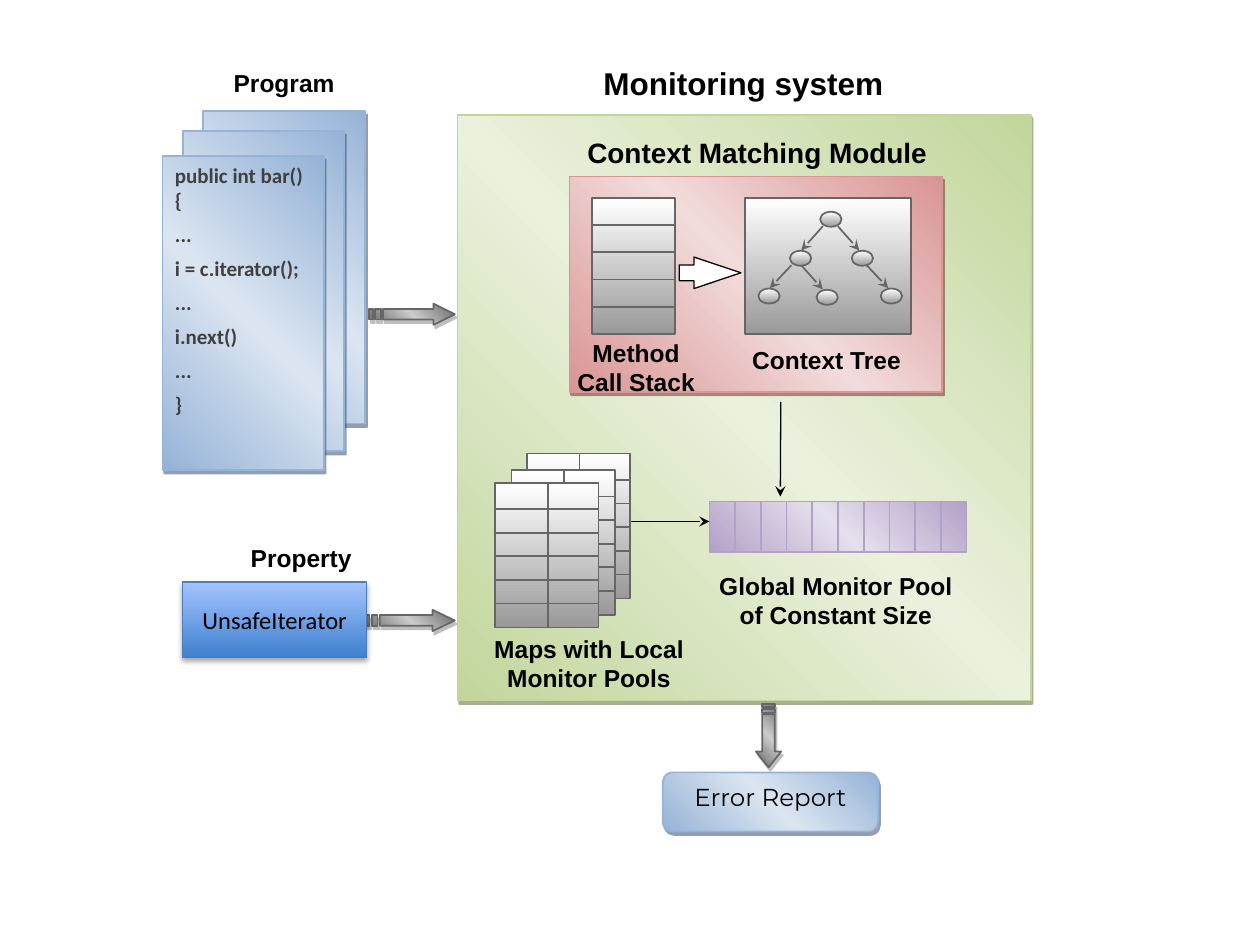
from pptx import Presentation
from pptx.dml.color import RGBColor
from pptx.enum.shapes import MSO_CONNECTOR, MSO_SHAPE
from pptx.enum.text import MSO_ANCHOR, MSO_AUTO_SIZE, PP_ALIGN
from pptx.oxml.ns import qn
from pptx.oxml.xmlchemy import OxmlElement
from pptx.util import Pt

RECT, OVAL = MSO_SHAPE.RECTANGLE, MSO_SHAPE.OVAL
LEFT, CENTER = PP_ALIGN.LEFT, PP_ALIGN.CENTER
TOP, MIDDLE = MSO_ANCHOR.TOP, MSO_ANCHOR.MIDDLE

BLACK, WHITE, CODE_GRAY, GRAY, SILVER, MID_GRAY, SHADE_GRAY = map(
    RGBColor.from_string,
    ("000000", "FFFFFF", "404040", "666666", "CCCCCC", "999999", "7F7F7F"))
GREEN, PALE_GREEN, DEEP_GREEN = map(RGBColor.from_string, ("C2D69B", "EAF1DD", "4E6128"))
BLUE, PALE_BLUE, DEEP_BLUE = map(RGBColor.from_string, ("95B3D7", "DBE5F1", "243F60"))
PINK, PALE_PINK, DEEP_RED = map(RGBColor.from_string, ("D99594", "F2DBDB", "622423"))
PURPLE, PALE_PURPLE = map(RGBColor.from_string, ("B2A1C7", "E5DFEC"))
STRONG_BLUE, SKY_BLUE, EDGE_BLUE = map(RGBColor.from_string, ("3F80CE", "A4C4FF", "4B7EBC"))

HARD = (50, 0, 2.2, 63)  # shadow opacity %, blur, distance, direction
SOFT = (35, 3.1, 1.8, 90)
# Evenly spaced gradient colours, counter-clockwise angle, line, shadow
GREEN_LOOK = ((GREEN, PALE_GREEN, GREEN), 45, GREEN, (DEEP_GREEN, *HARD))
BLUE_LOOK = ((BLUE, PALE_BLUE, BLUE), 45, BLUE, (DEEP_BLUE, *HARD))
PINK_LOOK = ((PINK, PALE_PINK, PINK), 45, PINK, (DEEP_RED, *HARD))
ARROW_LOOK = ((GRAY, SILVER, GRAY), 45, GRAY, (SHADE_GRAY, *HARD))
PURPLE_LOOK = ((PURPLE, PALE_PURPLE, PURPLE), 45, PURPLE, None)
SILVER_LOOK = ((WHITE, MID_GRAY), 270, GRAY, None)
PROPERTY_LOOK = ((STRONG_BLUE, SKY_BLUE), 90, EDGE_BLUE, (BLACK, *SOFT))

# All places are left, top, width, height in points
TITLE = ("Monitoring system", (283, 33.1, 283.7, 37.4))
SYSTEM = (261.4, 65.5, 327.6, 334.8)
PAGES = [(115.9, 63.4, 92.9, 178.6), (104.4, 74.9, 92.2, 182.9),
         (92.9, 89.3, 92.2, 179.3)]
CODE = ["public int bar() {", "...", "i = c.iterator();", "...", "i.next()", "...", "}"]
MATCHING_MODULE = (325.4, 100.8, 213.1, 123.1)
CALL_STACK, STACK_ROWS = (338.4, 113, 47.5, 77.8), 5
TREE_PANEL = (425.5, 113, 95, 77.8)
NODE_WIDTH, NODE_HEIGHT = 12.2, 8.6
NODES = {"root": (474.8, 125.3), "left": (457.5, 147.6), "right": (492.8, 147.6),
         "left leaf": (439.5, 169.2), "middle leaf": (472.7, 169.9),
         "right leaf": (509.4, 169.2)}
# parent, child, sideways shift of the start and of the end
EDGES = [("root", "left", -4.6, 0.4), ("root", "right", 4, -1.8),
         ("left", "left leaf", -5.3, 0.4), ("left", "middle leaf", 0.4, -2.5),
         ("right", "right leaf", 2.5, -1.8)]
POOL, POOL_CELLS = (405.4, 286.6, 146.9, 28.8), 10
MAPS = [(301, 259.2), (292.3, 268.6), (283, 275.8)]
MAP_WIDTH, MAP_HEIGHT, MAP_HEADER, MAP_ROW = 59, 82.8, 15.1, 13.5
STACK_TO_TREE = (388.1, 146.9, 35.3, 18)
FLOW_LINES = [(446.2, 229.7, 445.9, 283.7), (360.7, 298, 405.4, 298)]
STRIPED_ARROWS = [(211, 173.5, 48.9, 12.2), (208.8, 348.5, 51.1, 12.2),
                  (432, 402.5, 14.4, 36)]
REPORT = ("Error Report", (378.7, 441.4, 123.1, 33.8))
PROPERTY = ("UnsafeIterator", (104.4, 332.6, 105.1, 43.2))
LABELS = [("Method Call Stack", 14, (321.8, 189.4, 83.5, 20.2)),
          ("Context Tree", 14, (413.3, 193.7, 118.1, 17.3)),
          ("Context Matching Module", 16, (313.2, 74.2, 239, 31)),
          ("Global Monitor Pool of Constant Size", 14, (403.2, 322.6, 149, 35.3)),
          ("Program", 14, (103.7, 35.3, 117.4, 41)),
          ("Maps with Local Monitor Pools", 14, (259.9, 358.6, 153.4, 41.8)),
          ("Property", 14, (133.2, 306.7, 77.8, 23.8))]


def write(shape, lines, font, size, color=BLACK, bold=False, align=CENTER,
          anchor=TOP, after=5, side=7.2):
    frame = shape.text_frame
    frame.word_wrap, frame.auto_size = True, MSO_AUTO_SIZE.NONE
    frame.vertical_anchor = anchor
    frame.margin_left = frame.margin_right = Pt(side)
    frame.margin_top = frame.margin_bottom = Pt(3.6)
    for index, line in enumerate(lines):
        para = frame.add_paragraph() if index else frame.paragraphs[0]
        para.alignment = align
        para.space_before, para.space_after = Pt(0), Pt(after)
        span = para.add_run()
        span.text = line
        span.font.name, span.font.size, span.font.bold = font, Pt(size), bold
        span.font.color.rgb = color


def add_element(parent, tag, **attributes):
    element = OxmlElement(tag)
    for name, value in attributes.items():
        element.set(name, str(value))
    parent.append(element)
    return element


def style(shape, look, width=1):
    colors, angle, line, shadow = look
    shape.line.color.rgb, shape.line.width = line, Pt(width)
    shape.shadow.inherit = False
    shape.fill.gradient()
    shape.fill.gradient_angle = angle
    properties = shape._element.spPr
    stops = properties.find(qn("a:gradFill")).find(qn("a:gsLst"))
    for stop in list(stops):
        stops.remove(stop)
    for index, color in enumerate(colors):
        stop = add_element(stops, "a:gs", pos=100000 * index // (len(colors) - 1))
        add_element(stop, "a:srgbClr", val=color)
    if shadow:
        color, opacity, blur, distance, direction = shadow
        outer = add_element(properties.find(qn("a:effectLst")), "a:outerShdw",
                            blurRad=int(Pt(blur)), dist=int(Pt(distance)),
                            dir=direction * 60000)
        tint = add_element(outer, "a:srgbClr", val=color)
        add_element(tint, "a:alpha", val=opacity * 1000)
    return shape


def add_box(kind, place, look, width=1):
    return style(page.shapes.add_shape(kind, *map(Pt, place)), look, width)


def add_line(x1, y1, x2, y2, color, width=1, arrow=False):
    line = page.shapes.add_connector(MSO_CONNECTOR.STRAIGHT, *map(Pt, (x1, y1, x2, y2)))
    line.line.color.rgb, line.line.width = color, Pt(width)
    properties = line._element.spPr
    if arrow:
        add_element(properties.find(qn("a:ln")), "a:tailEnd", type="stealth")
    add_element(properties, "a:effectLst")


def add_grid(place, look, columns=(), rows=()):
    """Draw a box divided at the given offsets from its left and top."""
    left, top, width, height = place
    add_box(RECT, place, look)
    for x in columns:
        add_line(left + x, top, left + x, top + height, look[2])
    for y in rows:
        add_line(left, top + y, left + width, top + y, look[2])


def add_striped_arrow(left, top, width, height):
    """Draw an arrow with two tail stripes along the longer side of its place."""
    bars = [[(a, 0.25), (b, 0.25), (b, 0.75), (a, 0.75)]
            for a, b in ((0, 0.045), (0.07, 0.135))]
    head = [(0.75, 0), (0.75, 0.25), (0.16, 0.25), (0.16, 0.75),
            (0.75, 0.75), (0.75, 1), (1, 0.5)]
    builder = None
    for outline in (head, *bars):
        points = [(Pt(left + width * x), Pt(top + height * y))
                  for x, y in (point if width > height else point[::-1] for point in outline)]
        if builder is None:
            builder = page.shapes.build_freeform(*points[0])
        else:
            builder.move_to(*points[0])
        builder.add_line_segments(points[1:], close=True)
    style(builder.convert_to_shape(), ARROW_LOOK)


deck = Presentation()
deck.slide_width, deck.slide_height = Pt(720), Pt(540)
page = deck.slides.add_slide(deck.slide_layouts[5])
title = page.shapes.title
title.left, title.top, title.width, title.height = map(Pt, TITLE[1])
write(title, [TITLE[0]], "Arial", 18, bold=True)

add_box(RECT, SYSTEM, GREEN_LOOK)
sheets = [add_box(RECT, place, BLUE_LOOK) for place in PAGES]
write(sheets[-1], CODE, "Calibri", 12, CODE_GRAY, True, LEFT)
add_box(RECT, MATCHING_MODULE, PINK_LOOK)
add_grid(CALL_STACK, SILVER_LOOK,
         rows=[CALL_STACK[3] * i / STACK_ROWS for i in range(1, STACK_ROWS)])
add_box(RECT, TREE_PANEL, SILVER_LOOK)
for x, y in NODES.values():
    add_box(OVAL, (x - NODE_WIDTH / 2, y - NODE_HEIGHT / 2, NODE_WIDTH, NODE_HEIGHT), SILVER_LOOK)
for parent, child, start, end in EDGES:
    (x1, y1), (x2, y2) = NODES[parent], NODES[child]
    add_line(x1 + start, y1 + 4, x2 + end, y2 - 4.5, GRAY, arrow=True)
add_grid(POOL, PURPLE_LOOK, [POOL[2] * i / POOL_CELLS for i in range(1, POOL_CELLS)])
for left, top in MAPS:
    add_grid((left, top, MAP_WIDTH, MAP_HEIGHT), SILVER_LOOK, [MAP_WIDTH * 0.51],
             [MAP_HEADER + MAP_ROW * i for i in range(5)])

block_arrow = page.shapes.add_shape(MSO_SHAPE.RIGHT_ARROW, *map(Pt, STACK_TO_TREE))
block_arrow.adjustments[1] = 1.49
block_arrow.shadow.inherit = False
block_arrow.fill.solid()
block_arrow.fill.fore_color.rgb = WHITE
block_arrow.line.color.rgb, block_arrow.line.width = BLACK, Pt(0.75)
for ends in FLOW_LINES:
    add_line(*ends, BLACK, 0.75, True)
for place in STRIPED_ARROWS:
    add_striped_arrow(*place)

report = add_box(MSO_SHAPE.ROUNDED_RECTANGLE, REPORT[1], BLUE_LOOK)
write(report, [REPORT[0]], "Montserrat", 14, after=10)
note = add_box(MSO_SHAPE.FOLDED_CORNER, PROPERTY[1], PROPERTY_LOOK, 0.75)
fold = note._element.spPr.find(qn("a:prstGeom")).find(qn("a:avLst"))
add_element(fold, "a:gd", name="adj", fmla="val 0")
write(note, [PROPERTY[0]], "Calibri", 14, anchor=MIDDLE, after=0)
for text, size, place in LABELS:
    label = page.shapes.add_textbox(*map(Pt, place))
    write(label, [text], "Arial", size, bold=True, side=3.6)
deck.save("out.pptx")
